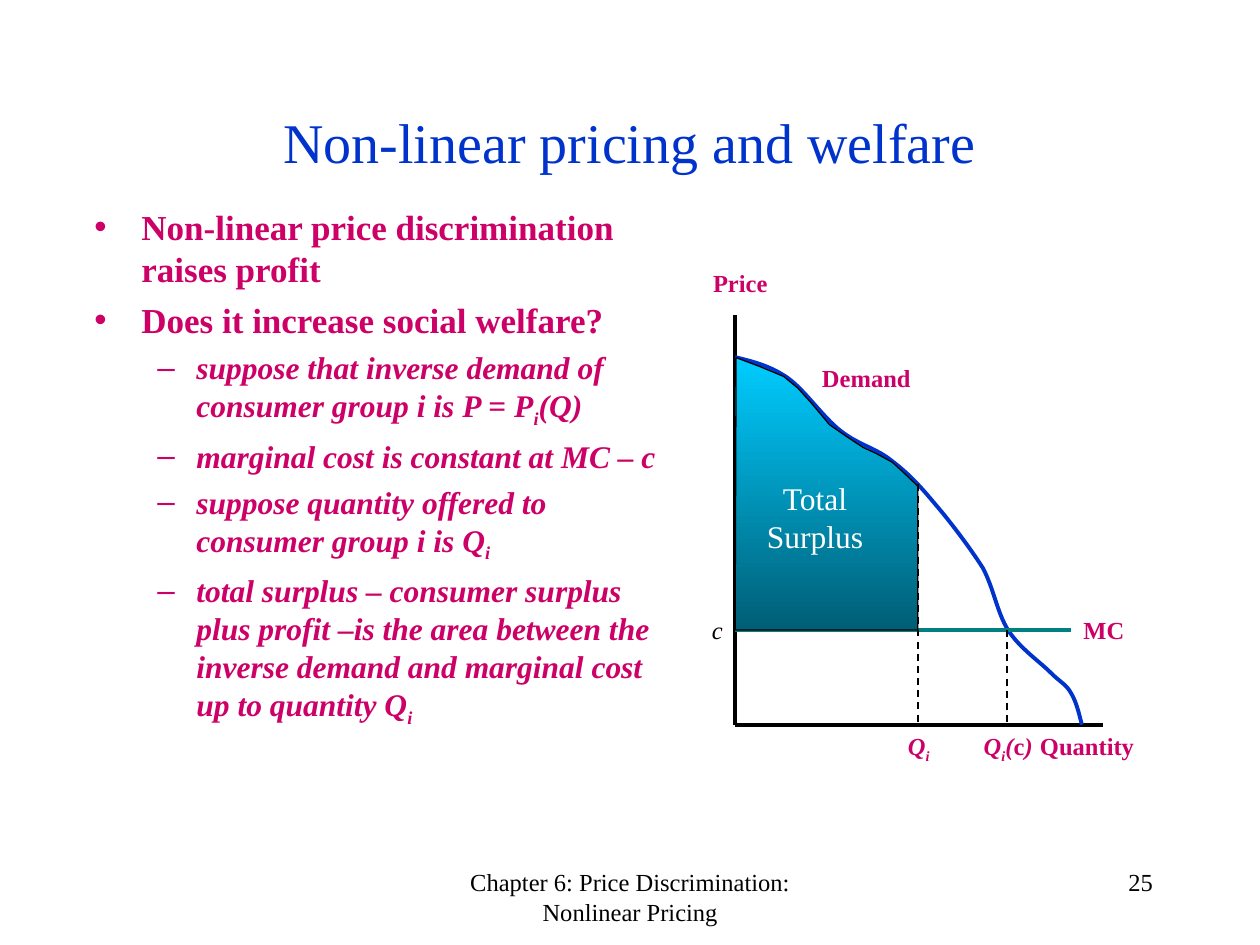
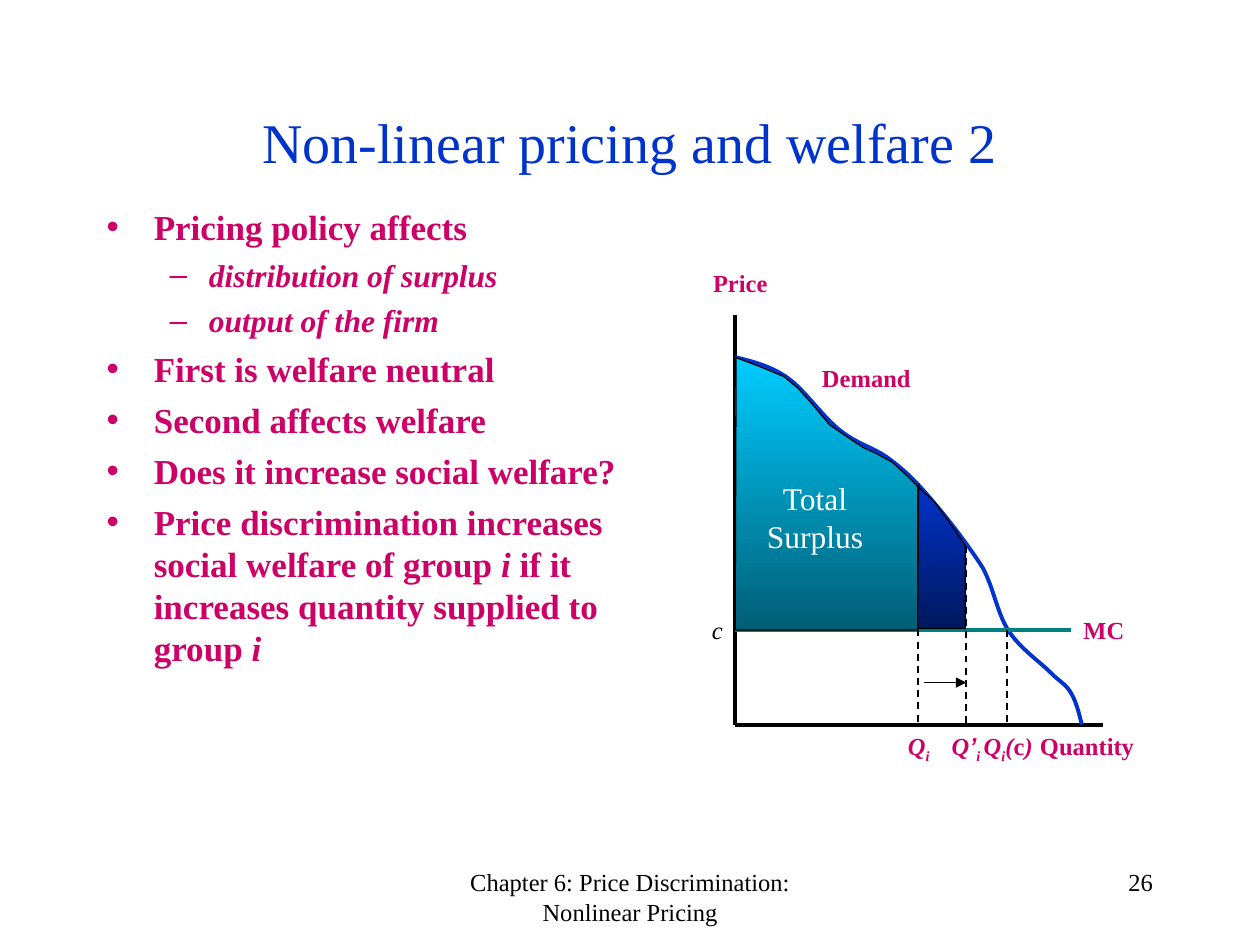
from lxml.etree import SubElement
from pptx import Presentation
from pptx.dml.color import RGBColor
from pptx.enum.dml import MSO_LINE
from pptx.enum.shapes import MSO_CONNECTOR
from pptx.enum.text import MSO_ANCHOR, MSO_AUTO_SIZE, PP_ALIGN as Align
from pptx.oxml.ns import qn
from pptx.util import Cm, Pt

# Shared look
FONT = "Times New Roman"
BLACK = RGBColor(0x00, 0x00, 0x00)
WHITE = RGBColor(0xFF, 0xFF, 0xFF)
BLUE = RGBColor(0x00, 0x33, 0xCC)
NAVY = RGBColor(0x00, 0x18, 0x5E)
PINK = RGBColor(0xCC, 0x00, 0x66)
TEAL = RGBColor(0x00, 0x80, 0x80)
SKY = RGBColor(0x00, 0xCC, 0xFF)
DEEP_SKY = RGBColor(0x00, 0x5E, 0x76)

FOOTER = "Chapter 6: Price Discrimination: Nonlinear Pricing"
FIRST_PAGE = 25
CHART_CORNER = (14.82, 6.35)  # top of the price axis, in cm

# Bullet levels: left margin, hanging indent (cm), space before, size, italic
LEVELS = [(0.95, 0.95, 5, 20, False), (2.06, 0.79, 4.5, 18, True)]

# Chart geometry in cm, measured from the top of the price axis
AXIS_HEIGHT, AXIS_LENGTH = 8.26, 7.41
COST_Y, COST_END = 6.35, 6.77
Q_OFFERED, Q_RAISED, Q_AT_COST = 3.68, 4.66, 5.48
# Start point, then two control points and an end point for each curve
DEMAND = [
    (0, 0.85),
    (0.35, 0.94), (0.7, 1.02), (1.06, 1.27),
    (1.41, 1.52), (1.77, 2.06), (2.12, 2.33),
    (2.48, 2.62), (2.86, 2.69), (3.17, 2.95),
    (3.5, 3.2), (3.73, 3.45), (4.03, 3.81),
    (4.34, 4.17), (4.74, 4.7), (5, 5.11),
    (5.22, 5.54), (5.28, 5.99), (5.5, 6.35),
    (5.73, 6.71), (6.14, 6.99), (6.35, 7.2),
    (6.57, 7.42), (6.67, 7.44), (6.77, 7.62),
    (6.88, 7.8), (6.93, 8.03), (6.99, AXIS_HEIGHT),
]
SURPLUS = [
    (0.02, 0.86), (0.5, 1.04), (0.98, 1.24), (1.26, 1.47), (1.54, 1.78),
    (1.9, 2.21), (2.23, 2.44), (2.58, 2.67), (2.84, 2.79), (3.17, 2.97),
    (3.4, 3.18), (Q_OFFERED, 3.45), (Q_OFFERED, COST_Y), (0, COST_Y),
]
ADDED_SURPLUS = [
    (3.6, 3.38), (4.03, 3.78), (4.49, 4.42), (4.64, 4.65),
    (4.64, 6.32), (Q_OFFERED, 6.32), (3.7, 3.4),
]

# Slide content: a run is (text, flags); i = italic, r = roman, s = subscript
SUB_I = ("i", "s")
SLIDES = [
    {
        "title": "Non-linear pricing and welfare",
        "box": (1.9, 4.02, 11.64, 11.64), "side_inset": 0,
        "points": [
            (0, ["Non-linear price discrimination raises profit"]),
            (0, ["Does it increase social welfare?"]),
            (1, ["suppose that inverse demand of consumer group i is P = P",
                 SUB_I, "(Q)"]),
            (1, ["marginal cost is constant at MC – c"]),
            (1, ["suppose quantity offered to consumer group i is Q", SUB_I]),
            (1, ["total surplus – consumer surplus plus profit –is the area "
                 "between the inverse demand and marginal cost up to "
                 "quantity Q", SUB_I]),
        ],
        "raised": False,
    },
    {
        "title": "Non-linear pricing and welfare 2",
        "box": (1.9, 4.02, 11.22, 10.16), "side_inset": 0.25,
        "points": [
            (0, ["Pricing policy affects"]),
            (1, ["distribution of surplus"]),
            (1, ["output of the firm"]),
            (0, ["First is welfare neutral"]),
            (0, ["Second affects welfare"]),
            (0, ["Does it increase social welfare?"]),
            (0, ["Price discrimination increases social welfare of group ",
                 ("i", "i"), " if it increases quantity supplied to group ",
                 ("i", "i")]),
        ],
        "raised": True,
    },
]


def add_runs(paragraph, runs, size, color, bold=False, italic=False):
    for part in runs:
        words, flags = (part, "") if isinstance(part, str) else part
        run = paragraph.add_run()
        run.text = words
        font = run.font
        font.name = "Arial" if words == "’" else FONT
        font.size, font.bold = Pt(size), bold
        font.italic = (italic or "i" in flags) and "r" not in flags
        font.color.rgb = color
        if "s" in flags:
            run._r.get_or_add_rPr().set("baseline", "-25000")


def add_label(slide, box, lines, align=Align.CENTER, size=14, color=PINK,
              bold=True, italic=False):
    """Text box holding one list of runs per line."""
    frame = slide.shapes.add_textbox(*map(Cm, box)).text_frame
    frame.word_wrap = True
    for number, runs in enumerate(lines):
        paragraph = frame.add_paragraph() if number else frame.paragraphs[0]
        paragraph.alignment = align
        add_runs(paragraph, runs, size, color, bold, italic)


def place(placeholder, box):
    placeholder.left, placeholder.top, placeholder.width, placeholder.height = (
        map(Cm, box))
    placeholder.text_frame.auto_size = MSO_AUTO_SIZE.NONE
    return placeholder.text_frame


def add_title(slide, title, box):
    frame = place(slide.shapes.title, box)
    frame.vertical_anchor = MSO_ANCHOR.MIDDLE
    frame.paragraphs[0].alignment = Align.CENTER
    add_runs(frame.paragraphs[0], [title], 32, BLUE)


def add_points(slide, points, box, side_inset):
    frame = place(slide.placeholders[1], box)
    frame.margin_left = frame.margin_right = Cm(side_inset)
    for number, (level, runs) in enumerate(points):
        paragraph = frame.add_paragraph() if number else frame.paragraphs[0]
        margin, hanging, before, size, italic = LEVELS[level]
        paragraph.level = level
        paragraph.space_before = Pt(before if number else 0)
        properties = paragraph._p.get_or_add_pPr()
        properties.set("marL", str(Cm(margin)))
        properties.set("indent", str(-Cm(hanging)))
        add_runs(paragraph, runs, size, PINK, True, italic)


def add_footer(slide, page, top):
    add_label(slide, (8.68, top, 8.05, 1.27), [[FOOTER]],
              color=BLACK, bold=False)
    add_label(slide, (18.2, top, 5.29, 1.27), [[str(page)]], Align.RIGHT,
              color=BLACK, bold=False)


def make_bezier(curve):
    """Turn every three line segments of an outline into one Bézier curve."""
    path = curve._element.find(".//" + qn("a:path"))
    segments = path.findall(qn("a:lnTo"))
    for first in range(0, len(segments), 3):
        bezier = SubElement(path, qn("a:cubicBezTo"))
        for segment in segments[first:first + 3]:
            bezier.append(segment[0])
            path.remove(segment)


class SurplusChart:
    """Demand diagram placed by the top of its price axis."""

    def __init__(self, slide, corner):
        self.slide = slide
        self.left, self.top = corner

    def point(self, x, y):
        return Cm(self.left + x), Cm(self.top + y)

    def line(self, start, end, color=BLACK, width=2.25, dashed=False,
             arrow=False):
        line = self.slide.shapes.add_connector(
            MSO_CONNECTOR.STRAIGHT, *self.point(*start), *self.point(*end))
        line.line.color.rgb = color
        line.line.width = Pt(width)
        if dashed:
            line.line.dash_style = MSO_LINE.DASH
        if arrow:
            SubElement(line.line._get_or_add_ln(), qn("a:tailEnd"),
                       type="triangle")
        SubElement(line._element.spPr, qn("a:effectLst"))

    def outline(self, points, color, width, close=False):
        start, *rest = [self.point(*point) for point in points]
        builder = self.slide.shapes.build_freeform(*start)
        builder.add_line_segments(rest, close=close)
        shape = builder.convert_to_shape()
        shape.shadow.inherit = False
        shape.line.color.rgb = color
        shape.line.width = Pt(width)
        return shape

    def area(self, points, top_color, bottom_color, close):
        fill = self.outline(points, BLACK, 0.75, close).fill
        fill.gradient()
        fill.gradient_angle = 270
        for stop, color in zip(fill.gradient_stops, (top_color, bottom_color)):
            stop.color.rgb = color

    def label(self, x, y, width, lines, height=0.86, **style):
        add_label(self.slide, (self.left + x, self.top + y, width, height),
                  lines, **style)

    def quantity_mark(self, x, top):
        self.line((x, top), (x, AXIS_HEIGHT), width=1, dashed=True)

    def draw(self):
        # Axes
        self.line((0, 0), (0, AXIS_HEIGHT))
        self.line((0, AXIS_HEIGHT), (AXIS_LENGTH, AXIS_HEIGHT))
        self.label(-1.06, -1.07, 2.33, [["Price"]])
        self.label(5.72, AXIS_HEIGHT, 2.75, [["Quantity"]])
        # Demand and marginal cost
        demand = self.outline(DEMAND, BLUE, 2.25)
        demand.fill.background()
        make_bezier(demand)
        self.label(1.48, 0.85, 2.33, [["Demand"]])
        self.line((0, COST_Y), (COST_END, COST_Y), TEAL)
        self.label(-0.85, 5.92, 0.85, [["c"]], align=Align.RIGHT,
                   color=BLACK, bold=False, italic=True)
        self.label(COST_END, 5.92, 1.69, [["MC"]], align=Align.LEFT)
        # Quantities
        self.quantity_mark(Q_OFFERED, 3.4)
        self.label(3.17, AXIS_HEIGHT, 1.06, [["Q", SUB_I]], italic=True)
        self.quantity_mark(Q_AT_COST, COST_Y)
        self.label(4.66, AXIS_HEIGHT, 1.69,
                   [["Q", SUB_I, "(", ("c", "r"), ")"]], italic=True)
        # Total surplus
        self.area(SURPLUS, SKY, DEEP_SKY, close=True)
        self.label(0.21, 3.18, 2.8, [["Total"], ["Surplus"]], height=1.78,
                   size=18, color=WHITE, bold=False)

    def draw_raised_quantity(self):
        self.quantity_mark(Q_RAISED, 4.66)
        self.line((3.81, 7.41), (Q_RAISED, 7.41), width=0.75, arrow=True)
        self.label(4.02, AXIS_HEIGHT, 1.27, [["Q", "’", SUB_I]], italic=True)
        self.area(ADDED_SURPLUS, BLUE, NAVY, close=False)


def add_welfare_slide(deck, content, page):
    slide = deck.slides.add_slide(deck.slide_layouts[1])
    add_title(slide, content["title"], (1.9, 1.69, 21.59, 2.33))
    add_points(slide, content["points"], content["box"], content["side_inset"])
    add_footer(slide, page, 17.36)
    chart = SurplusChart(slide, CHART_CORNER)
    chart.draw()
    if content["raised"]:
        chart.draw_raised_quantity()


def main():
    deck = Presentation()
    deck.slide_width, deck.slide_height = Cm(25.4), Cm(19.05)
    for page, content in enumerate(SLIDES, FIRST_PAGE):
        add_welfare_slide(deck, content, page)
    deck.save("out.pptx")


if __name__ == "__main__":
    main()
